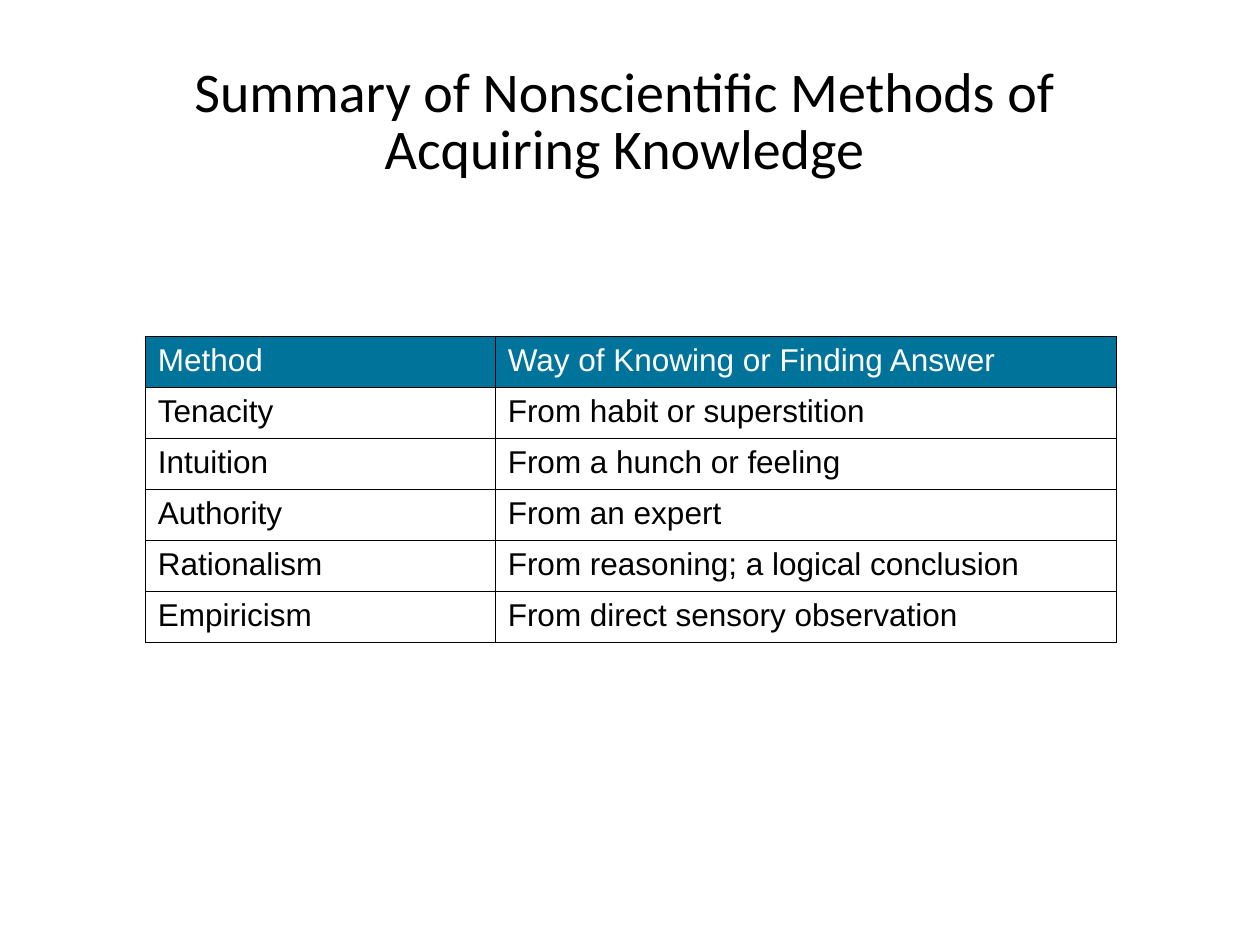
"""Build a slide that tabulates nonscientific methods of acquiring knowledge."""

from dataclasses import dataclass
from typing import NamedTuple

from lxml.etree import SubElement
from pptx import Presentation
from pptx.dml.color import RGBColor
from pptx.enum.text import MSO_ANCHOR as Anchor, PP_ALIGN as Align
from pptx.oxml.ns import qn
from pptx.util import Pt


@dataclass(frozen=True)
class Theme:
    title_font: str = "Calibri"
    table_font: str = "Arial"
    title_size: float = 32
    table_size: float = 18
    border_width: float = 0.45
    ink: str = "000000"
    header_ink: str = "FFFFFF"
    header_fill: str = "00739B"


class Box(NamedTuple):
    left: float
    top: float
    width: float
    height: float

    def in_points(self) -> tuple:
        return tuple(Pt(length) for length in self)


class Method(NamedTuple):
    name: str
    way_of_knowing: str


THEME = Theme()
TITLE = "Summary of Nonscientific Methods of Acquiring Knowledge"
TITLE_BOX = Box(41, 28, 632, 79.2)
TABLE_BOX = Box(83, 192.2, 555, 175)
COLUMN_WIDTHS = (200, 355)
HEADER = Method("Method", "Way of Knowing or Finding Answer")
METHODS = (
    Method("Tenacity", "From habit or superstition"),
    Method("Intuition", "From a hunch or feeling"),
    Method("Authority", "From an expert"),
    Method("Rationalism", "From reasoning; a logical conclusion"),
    Method("Empiricism", "From direct sensory observation"),
)


def style_font(paragraph, name: str, size: float, color: str) -> None:
    font = paragraph.font
    font.name = name
    font.size = Pt(size)
    font.color.rgb = RGBColor.from_string(color)


def add_title(slide, text: str, box: Box) -> None:
    frame = slide.shapes.add_textbox(*box.in_points()).text_frame
    frame.word_wrap = True
    frame.vertical_anchor = Anchor.BOTTOM
    paragraph = frame.paragraphs[0]
    paragraph.text = text
    paragraph.alignment = Align.CENTER
    paragraph.line_spacing = 0.85
    style_font(paragraph, THEME.title_font, THEME.title_size, THEME.ink)


def add_borders(cell) -> None:
    properties = cell._tc.get_or_add_tcPr()
    for side in ("L", "R", "T", "B"):
        line = SubElement(properties, qn(f"a:ln{side}"), w=str(Pt(THEME.border_width)))
        fill = SubElement(line, qn("a:solidFill"))
        SubElement(fill, qn("a:srgbClr"), val=THEME.ink)


def fill_cell(cell, text: str, is_header: bool) -> None:
    add_borders(cell)
    if is_header:
        cell.fill.solid()
        cell.fill.fore_color.rgb = RGBColor.from_string(THEME.header_fill)
    else:
        cell.fill.background()
    paragraph = cell.text_frame.paragraphs[0]
    paragraph.text = text
    color = THEME.header_ink if is_header else THEME.ink
    style_font(paragraph, THEME.table_font, THEME.table_size, color)


def add_methods_table(slide, rows: tuple[Method, ...], box: Box) -> None:
    table = slide.shapes.add_table(
        len(rows), len(COLUMN_WIDTHS), *box.in_points()
    ).table
    table.horz_banding = False
    for column, width in zip(table.columns, COLUMN_WIDTHS):
        column.width = Pt(width)
    for row_index, (row, method) in enumerate(zip(table.rows, rows)):
        row.height = Pt(box.height / len(rows))
        for cell, text in zip(row.cells, method):
            fill_cell(cell, text, is_header=row_index == 0)


def main() -> None:
    presentation = Presentation()
    presentation.slide_width = Pt(720)
    presentation.slide_height = Pt(540)
    slide = presentation.slides.add_slide(presentation.slide_layouts[6])
    add_title(slide, TITLE, TITLE_BOX)
    add_methods_table(slide, (HEADER, *METHODS), TABLE_BOX)
    presentation.save("out.pptx")


if __name__ == "__main__":
    main()
